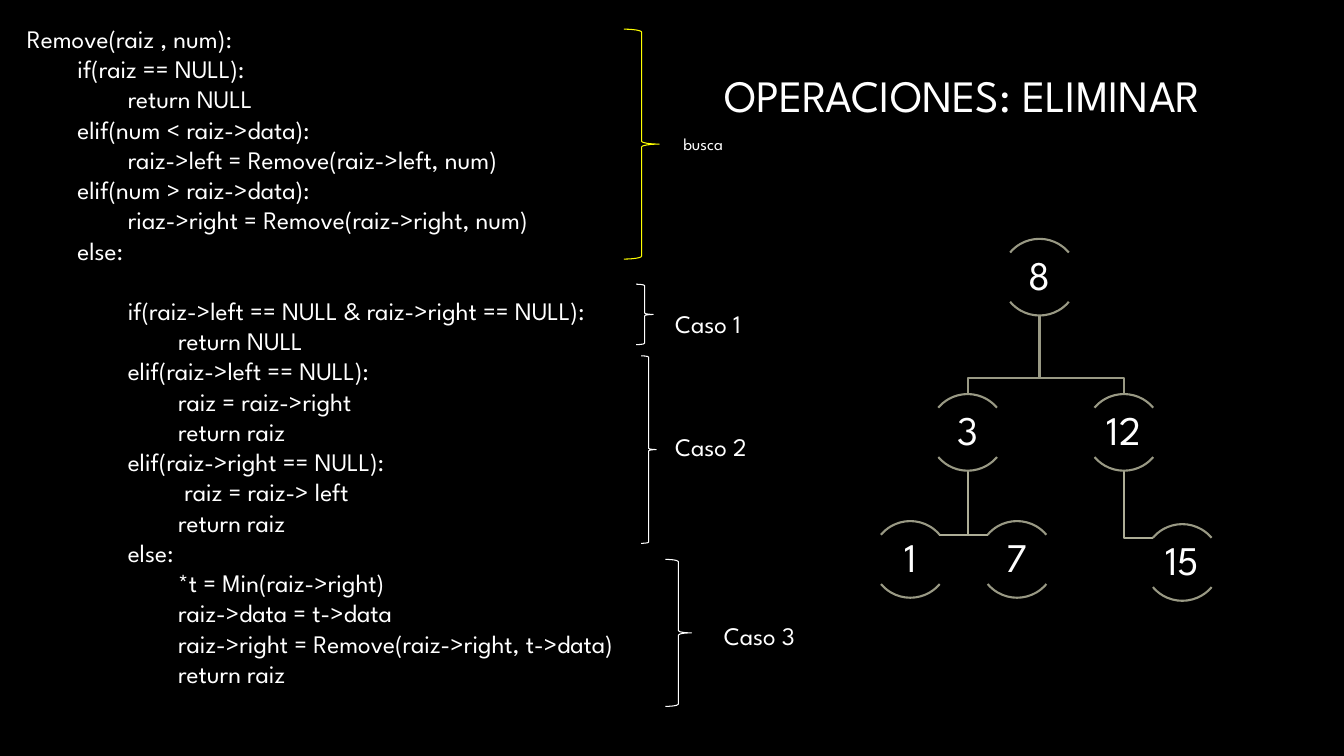
import lxml.etree
import pptx
import pptx.dml.color
import pptx.enum.shapes
import pptx.enum.text
import pptx.oxml.ns
import pptx.util

# Square grid over a 16:9 slide
COLUMNS, ROWS = 128, 72
SLIDE_HEIGHT = pptx.util.Inches(7.5)
UNIT = SLIDE_HEIGHT / ROWS

FONT = "League Spartan"
COLORS = {"background": "000000", "text": "FFFFFF", "search": "FFFF00",
          "node": "999984", "leaf_edge": "ADAD96"}

# Tree: value -> centre column and row
NODE_SIZE = 7.3
NODES = {"8": (99, 26.4), "3": (92.16, 41.18), "12": (107.04, 41.18),
         "1": (86.7, 53.28), "7": (96.86, 53.28), "15": (112.6, 53.57)}
BRANCHES = [("8", "12"), ("8", "3")]
LEAVES = [("12", "15"), ("3", "7"), ("3", "1")]
NODE_ARCS = [(132, 192), (24, 84)]

# Brace box, brace colour, label, label position, label size
CASES = [
    ((59.42, 2.78, 3.36, 21.9), "search", "busca", (64.13, 12.29), 12),
    ((60.58, 27.07, 1.63, 5.76), "text", "Caso 1", (63.36, 28.9), 18),
    ((61.06, 33.89, 1.44, 17.86), "text", "Caso 2", (63.36, 40.6), 18),
    ((63.36, 53.28, 2.5, 14), "text", "Caso 3", (68, 58.56), 18),
]

SEARCH_CODE = """Remove(raiz , num):
\tif(raiz == NULL):
\t\treturn NULL
\telif(num < raiz->data):
\t\traiz->left = Remove(raiz->left, num)
\telif(num > raiz->data):
\t\triaz->right = Remove(raiz->right, num)
\telse:""".split("\n")
CASES_CODE = """\t\tif(raiz->left == NULL & raiz->right == NULL):
\t\t\treturn NULL
\t\telif(raiz->left == NULL):
\t\t\traiz = raiz->right
\t\t\treturn raiz
\t\telif(raiz->right == NULL):
\t\t\t raiz = raiz-> left
\t\t\treturn raiz
\t\telse:
\t\t\t*t = Min(raiz->right)
\t\t\traiz->data = t->data
\t\t\traiz->right = Remove(raiz->right, t->data)
\t\t\treturn raiz""".split("\n")


def grid(*cells):
    return [round(cell * UNIT) for cell in cells]


def color(name):
    return pptx.dml.color.RGBColor.from_string(COLORS[name])


def format_paragraph(paragraph, size):
    paragraph.font.name = FONT
    paragraph.font.size = pptx.util.Pt(size)
    paragraph.font.color.rgb = color("text")


def format_outline(shape, color_name, width):
    shape.shadow.inherit = False
    shape.fill.background()
    shape.line.color.rgb = color(color_name)
    shape.line.width = pptx.util.Pt(width)


def add_outline(slide, kind, box, color_name, width):
    shape = slide.shapes.add_shape(kind, *grid(*box))
    format_outline(shape, color_name, width)
    return shape


def add_label(slide, text, box, size):
    frame = slide.shapes.add_textbox(*grid(*box)).text_frame
    frame.word_wrap = True
    frame.text = text
    format_paragraph(frame.paragraphs[0], size)
    return frame


def add_title(slide, text):
    title = slide.shapes.title
    title.left, title.top, title.width, title.height = grid(68, 2, 58, 14)
    title.text_frame.text = text
    title.text_frame.vertical_anchor = pptx.enum.text.MSO_ANCHOR.MIDDLE
    paragraph = title.text_frame.paragraphs[0]
    paragraph.alignment = pptx.enum.text.PP_ALIGN.LEFT
    format_paragraph(paragraph, 32)


def add_tab_stops(paragraph, count):
    properties = paragraph._p.get_or_add_pPr()
    tabs = lxml.etree.SubElement(properties, pptx.oxml.ns.qn("a:tabLst"))
    for level in range(1, count + 1):
        lxml.etree.SubElement(tabs, pptx.oxml.ns.qn("a:tab"), algn="l",
                              pos=str(pptx.util.Inches(0.5 * level)))


def add_code(slide):
    frame = slide.shapes.add_textbox(*grid(1.63, 1.73, 64.2, 67.9)).text_frame
    frame.word_wrap = True
    frame.text = "\n".join(SEARCH_CODE + CASES_CODE)
    for paragraph in frame.paragraphs:
        add_tab_stops(paragraph, 3)
        format_paragraph(paragraph, 18)
    # One free line before the three cases
    frame.paragraphs[len(SEARCH_CODE)].space_before = pptx.util.Pt(21.6)


def add_edge(slide, points, color_name):
    start, *corners = [grid(*point) for point in points]
    builder = slide.shapes.build_freeform(*start)
    builder.add_line_segments(corners, close=False)
    format_outline(builder.convert_to_shape(), color_name, 1.5)


def add_branch(slide, parent, child):
    (x, y), (child_x, child_y) = NODES[parent], NODES[child]
    child_top = child_y - NODE_SIZE / 2
    bend = child_top - 1.5
    points = [(x, y + NODE_SIZE / 2), (x, bend), (child_x, bend), (child_x, child_top)]
    add_edge(slide, points, "node")


def add_leaf_edge(slide, parent, child):
    (x, y), (child_x, child_y) = NODES[parent], NODES[child]
    bend = child_y - NODE_SIZE / 2 + 1.34
    side = child_x - 2.75 if child_x > x else child_x + 2.75
    add_edge(slide, [(x, y + NODE_SIZE / 2), (x, bend), (side, bend)], "leaf_edge")


def add_node(slide, value):
    x, y = NODES[value]
    box = (x - NODE_SIZE / 2, y - NODE_SIZE / 2, NODE_SIZE, NODE_SIZE)
    for start, end in NODE_ARCS:
        arc = add_outline(slide, pptx.enum.shapes.MSO_SHAPE.ARC, box, "node", 1.5)
        arc.adjustments[0], arc.adjustments[1] = start, end
    frame = add_label(slide, value, (x - NODE_SIZE, y - 2.35, 2 * NODE_SIZE, 4.7), 29)
    frame.margin_left = frame.margin_right = pptx.util.Inches(0.02)
    frame.margin_top = frame.margin_bottom = pptx.util.Inches(0.02)
    frame.vertical_anchor = pptx.enum.text.MSO_ANCHOR.MIDDLE
    frame.paragraphs[0].alignment = pptx.enum.text.PP_ALIGN.CENTER
    frame.paragraphs[0].line_spacing = 0.9


def main():
    presentation = pptx.Presentation()
    presentation.slide_height = SLIDE_HEIGHT
    presentation.slide_width = round(COLUMNS * UNIT)
    slide = presentation.slides.add_slide(presentation.slide_layouts[5])
    slide.background.fill.solid()
    slide.background.fill.fore_color.rgb = color("background")

    # Tree
    for parent, child in LEAVES:
        add_leaf_edge(slide, parent, child)
    for parent, child in BRANCHES:
        add_branch(slide, parent, child)
    for value in NODES:
        add_node(slide, value)

    # Title and code
    add_title(slide, "OPERACIONES: ELIMINAR")
    add_code(slide)

    # Braces with their cases
    for box, color_name, text, position, size in CASES:
        add_outline(slide, pptx.enum.shapes.MSO_SHAPE.RIGHT_BRACE, box, color_name, 0.75)
        add_label(slide, text, (*position, 11.5, size * 0.22), size)

    presentation.save("out.pptx")


if __name__ == "__main__":
    main()
